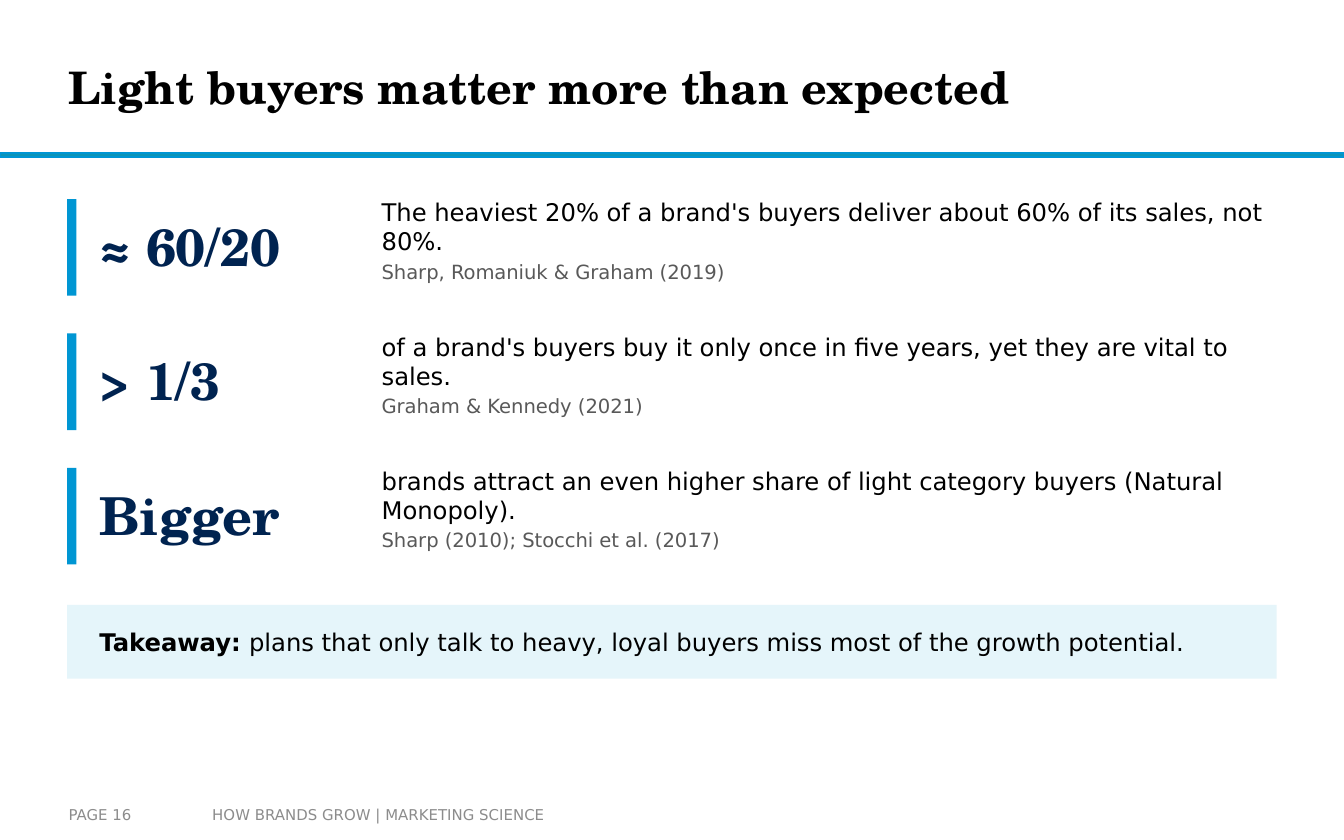
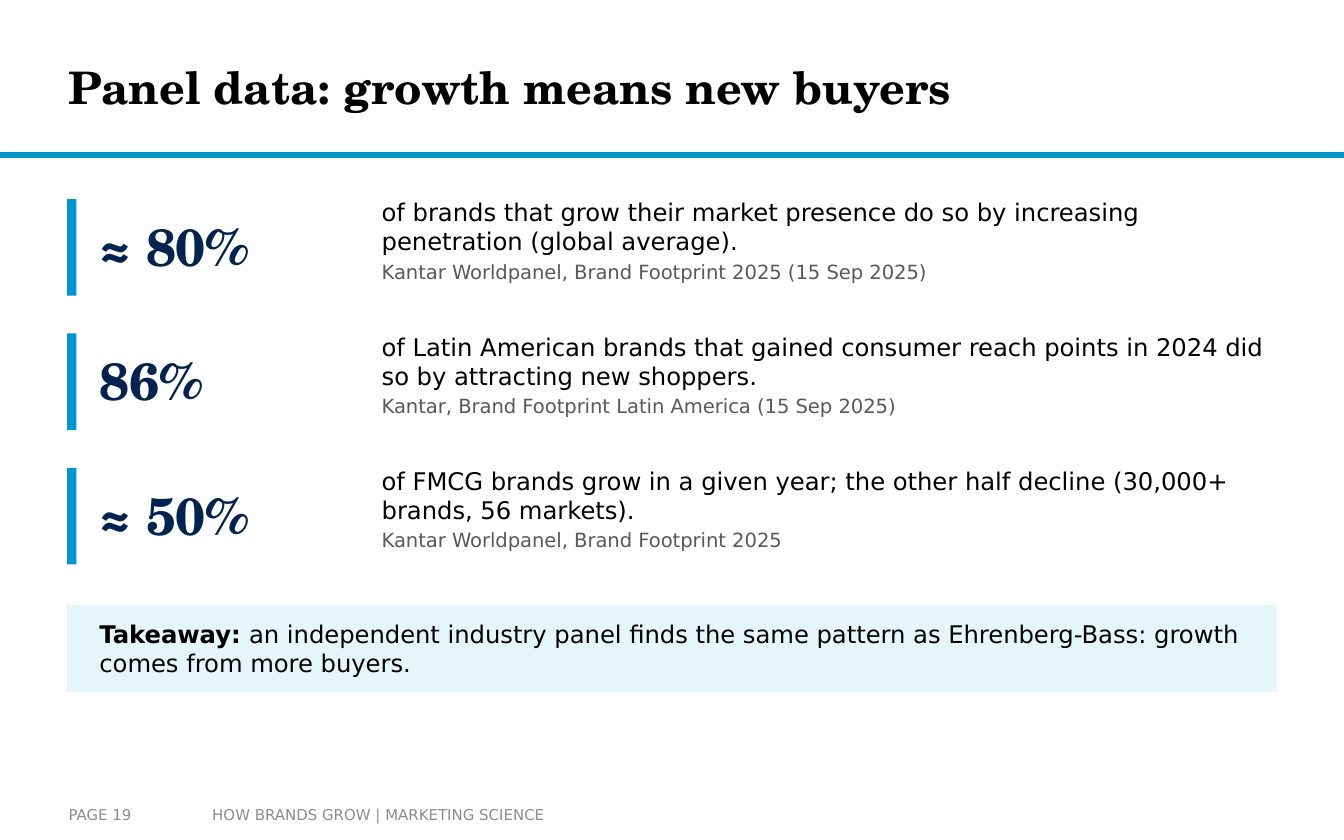
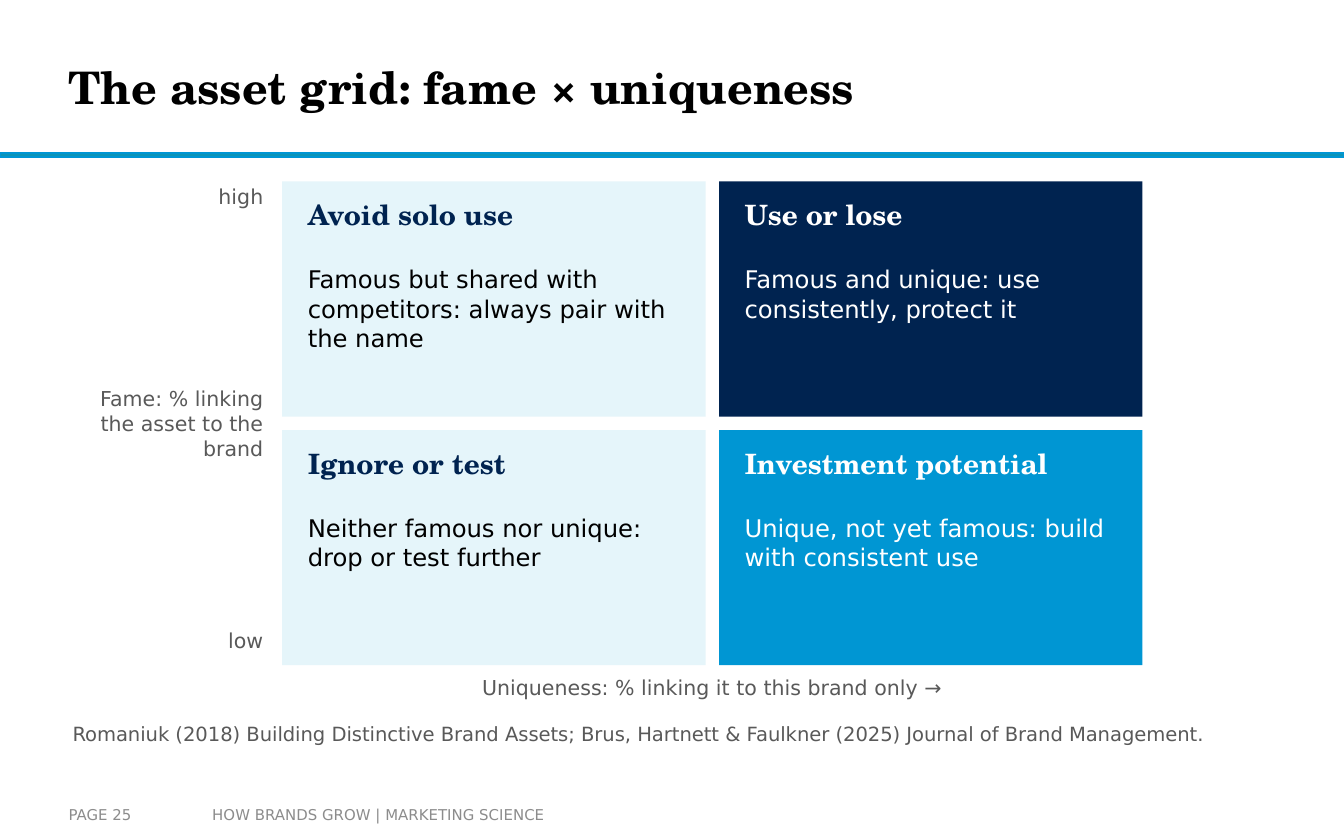
"""Build three slides on light buyers, buyer growth and the asset grid."""
import pptx
import pptx.dml.color
import pptx.enum.shapes
import pptx.enum.text
import pptx.util

Pt = pptx.util.Pt
hue = pptx.dml.color.RGBColor.from_string
Side = pptx.enum.text.PP_ALIGN
Fit = pptx.enum.text.MSO_AUTO_SIZE
TOP = pptx.enum.text.MSO_ANCHOR.TOP
MID = pptx.enum.text.MSO_ANCHOR.MIDDLE
RECT = pptx.enum.shapes.MSO_SHAPE.RECTANGLE

BLACK, WHITE, GREY, PALE = "000000", "FFFFFF", "595959", "8C8C8C"
NAVY, BLUE, TEAL, ICE = "002350", "0096D3", "0C94B7", "E5F5FA"
SERIF, SANS = "TeX Gyre Schola", "DejaVu Sans"
HEAD = {"name": SERIF, "size": Pt(24), "bold": True}
STAT = {"name": SERIF, "size": Pt(28), "bold": True}
NAME = {"name": SERIF, "size": Pt(15), "bold": True}
BODY = {"name": SANS, "size": Pt(13), "bold": False}
BOLD = {**BODY, "bold": True}
AXIS = {"name": SANS, "size": Pt(11)}
CITE = {"name": SANS, "size": Pt(10.5)}
FOOT = {"name": SANS, "size": Pt(8)}


def block(page, box, fill):
    """Add a plain filled rectangle."""
    shape = page.shapes.add_shape(RECT, *map(Pt, box))
    shape.shadow.inherit = False
    shape.fill.solid()
    shape.fill.fore_color.rgb = hue(fill)
    shape.line.fill.background()
    return shape


def write(shape, lines, anchor=TOP, side=Side.LEFT, after=0, pad=(2.9, 1.4), fit=Fit.SHAPE_TO_FIT_TEXT):
    """Fill a shape with lines, each a list of (text, font, colour) runs."""
    frame = shape.text_frame
    wide, high = map(Pt, pad)
    look = {
        "word_wrap": True, "auto_size": fit, "vertical_anchor": anchor,
        "margin_left": wide, "margin_right": wide, "margin_top": high, "margin_bottom": high,
    }
    for key, value in look.items():
        setattr(frame, key, value)
    for spot, runs in enumerate(lines):
        para = frame.add_paragraph() if spot else frame.paragraphs[0]
        para.alignment = side
        para.space_after = Pt(after)
        for text, style, tint in runs:
            run = para.add_run()
            run.text = text
            for key, value in style.items():
                setattr(run.font, key, value)
            run.font.color.rgb = hue(tint)


deck = pptx.Presentation()
deck.slide_width, deck.slide_height = Pt(720), Pt(450)

pages = []
for title, number in [
    ("Light buyers matter more than expected", 16),
    ("Panel data: growth means new buyers", 19),
    ("The asset grid: fame × uniqueness", 25),
]:
    page = deck.slides.add_slide(deck.slide_layouts[5])
    pages.append(page)
    band = block(page, (0, 82.1, 720, 2.2), TEAL)
    band.line.color.rgb = hue(BLUE)
    band.line.width = Pt(1)
    head = page.shapes.title
    place = {"left": 36.7, "top": 10.8, "width": 538.6, "height": 71.3}
    for key, value in place.items():
        setattr(head, key, Pt(value))
    write(head, [[(title, HEAD, BLACK)]], MID, pad=(0, 0), fit=Fit.NONE)
    for text, left, width, inset in [
        ("HOW BRANDS GROW | MARKETING SCIENCE", 106.6, 253.4, 7.2),
        (f"PAGE {number}", 36.7, 70.6, 0),
    ]:
        foot = page.shapes.add_textbox(*map(Pt, (left, 426.2, width, 20.2)))
        write(foot, [[(text, FOOT, PALE)]], MID, pad=(inset, 3.6), fit=Fit.NONE)

facts = [
    (
        [
            ("≈ 60/20", "The heaviest 20% of a brand's buyers deliver about 60% of its sales, not 80%.",
             "Sharp, Romaniuk & Graham (2019)"),
            ("> 1/3", "of a brand's buyers buy it only once in five years, yet they are vital to sales.",
             "Graham & Kennedy (2021)"),
            ("Bigger", "brands attract an even higher share of light category buyers (Natural Monopoly).",
             "Sharp (2010); Stocchi et al. (2017)"),
        ],
        "plans that only talk to heavy, loyal buyers miss most of the growth potential.", 39.6,
    ),
    (
        [
            ("≈ 80%", "of brands that grow their market presence do so by increasing penetration (global average).",
             "Kantar Worldpanel, Brand Footprint 2025 (15 Sep 2025)"),
            ("86%", "of Latin American brands that gained consumer reach points in 2024 did so by attracting new shoppers.",
             "Kantar, Brand Footprint Latin America (15 Sep 2025)"),
            ("≈ 50%", "of FMCG brands grow in a given year; the other half decline (30,000+ brands, 56 markets).",
             "Kantar Worldpanel, Brand Footprint 2025"),
        ],
        "an independent industry panel finds the same pattern as Ehrenberg-Bass: growth comes from more buyers.", 46.8,
    ),
]
for page, (rows, lesson, high) in zip(pages, facts):
    for row, (stat, claim, cite) in enumerate(rows):
        top = 100.8 + 72 * row
        block(page, (36, top + 5.8, 5, 51.8), BLUE)
        box = page.shapes.add_textbox(*map(Pt, (50.4, top, 144, 61.2)))
        write(box, [[(stat, STAT, NAVY)]], MID)
        box = page.shapes.add_textbox(*map(Pt, (201.6, top + 3.6, 482.4, 57.6)))
        write(box, [[(claim, BODY, BLACK)], [(cite, CITE, GREY)]], after=2)
    block(page, (36, 324, 648, high), ICE)
    box = page.shapes.add_textbox(*map(Pt, (50.4, 324, 619.2, high)))
    write(box, [[("Takeaway: ", BOLD, BLACK), (lesson, BODY, BLACK)]], MID)

grid = pages[2]
cells = [
    ("Avoid solo use", "Famous but shared with competitors: always pair with the name", ICE, NAVY, BLACK),
    ("Use or lose", "Famous and unique: use consistently, protect it", NAVY, WHITE, WHITE),
    ("Ignore or test", "Neither famous nor unique: drop or test further", ICE, NAVY, BLACK),
    ("Investment potential", "Unique, not yet famous: build with consistent use", BLUE, WHITE, WHITE),
]
for spot, (name, advice, fill, tint, ink) in enumerate(cells):
    row, col = divmod(spot, 2)
    left, top = 151.2 + 234 * col, 97.2 + 133.2 * row
    block(grid, (left, top, 226.8, 126), fill)
    for text, style, tone, drop, high in [(name, NAME, tint, 7.2, 32.4), (advice, BODY, ink, 43.2, 75.6)]:
        box = grid.shapes.add_textbox(*map(Pt, (left + 10.8, top + drop, 205.2, high)))
        write(box, [[(text, style, tone)]], after=6)

for text, area, anchor, side, style, after in [
    ("Fame: % linking the asset to the brand", (36, 190.8, 108, 72), MID, Side.RIGHT, AXIS, 6),
    ("Uniqueness: % linking it to this brand only →", (151.2, 360, 460.8, 21.6), TOP, Side.CENTER, AXIS, 6),
    ("high", (36, 97.2, 108, 21.6), TOP, Side.RIGHT, AXIS, 6),
    ("low", (36, 334.8, 108, 21.6), TOP, Side.RIGHT, AXIS, 6),
    ("Romaniuk (2018) Building Distinctive Brand Assets; Brus, Hartnett & Faulkner (2025) Journal of Brand Management.",
     (36, 385.2, 648, 25.2), TOP, Side.LEFT, CITE, 0),
]:
    box = grid.shapes.add_textbox(*map(Pt, area))
    write(box, [[(text, style, GREY)]], anchor, side, after)

deck.save("out.pptx")
